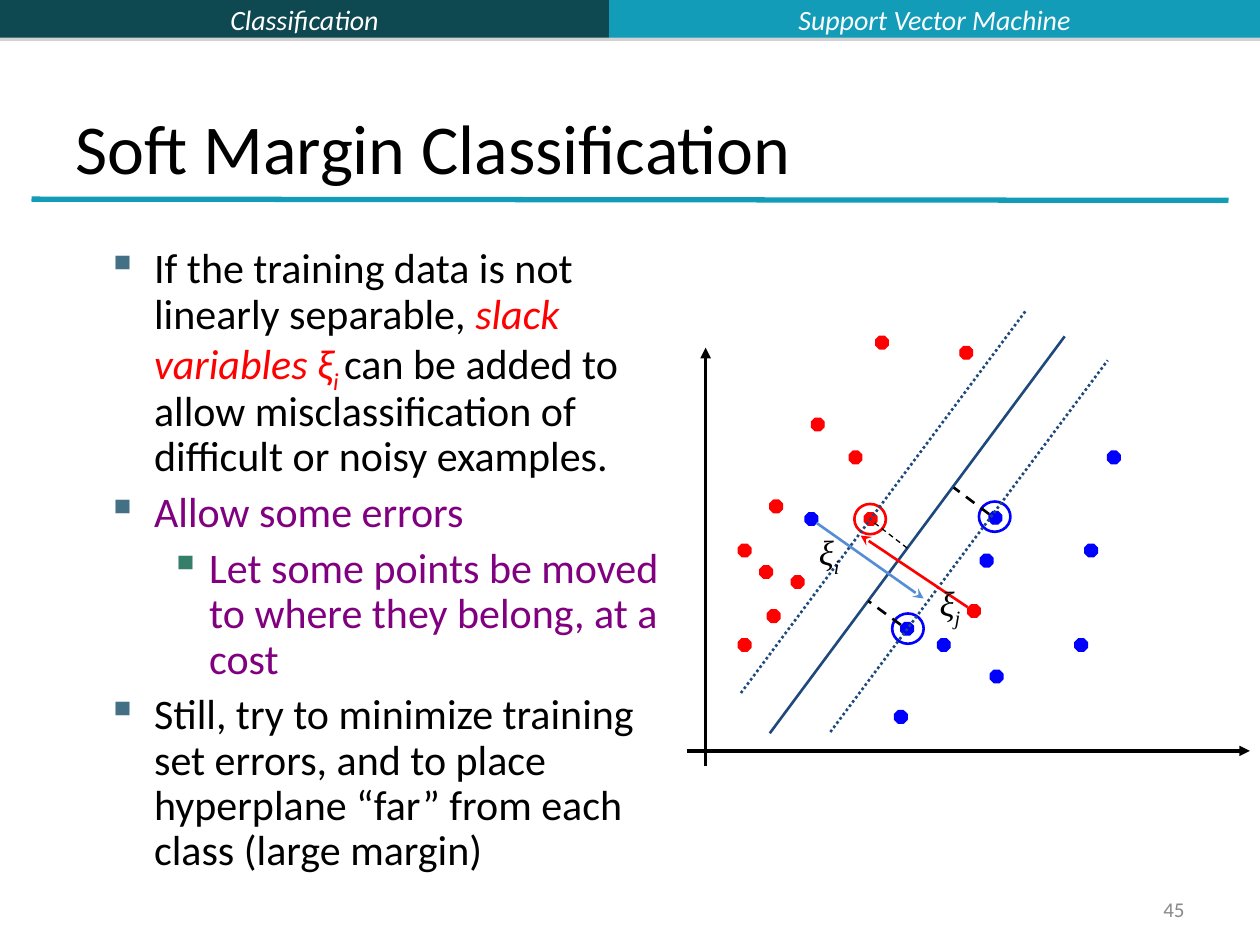
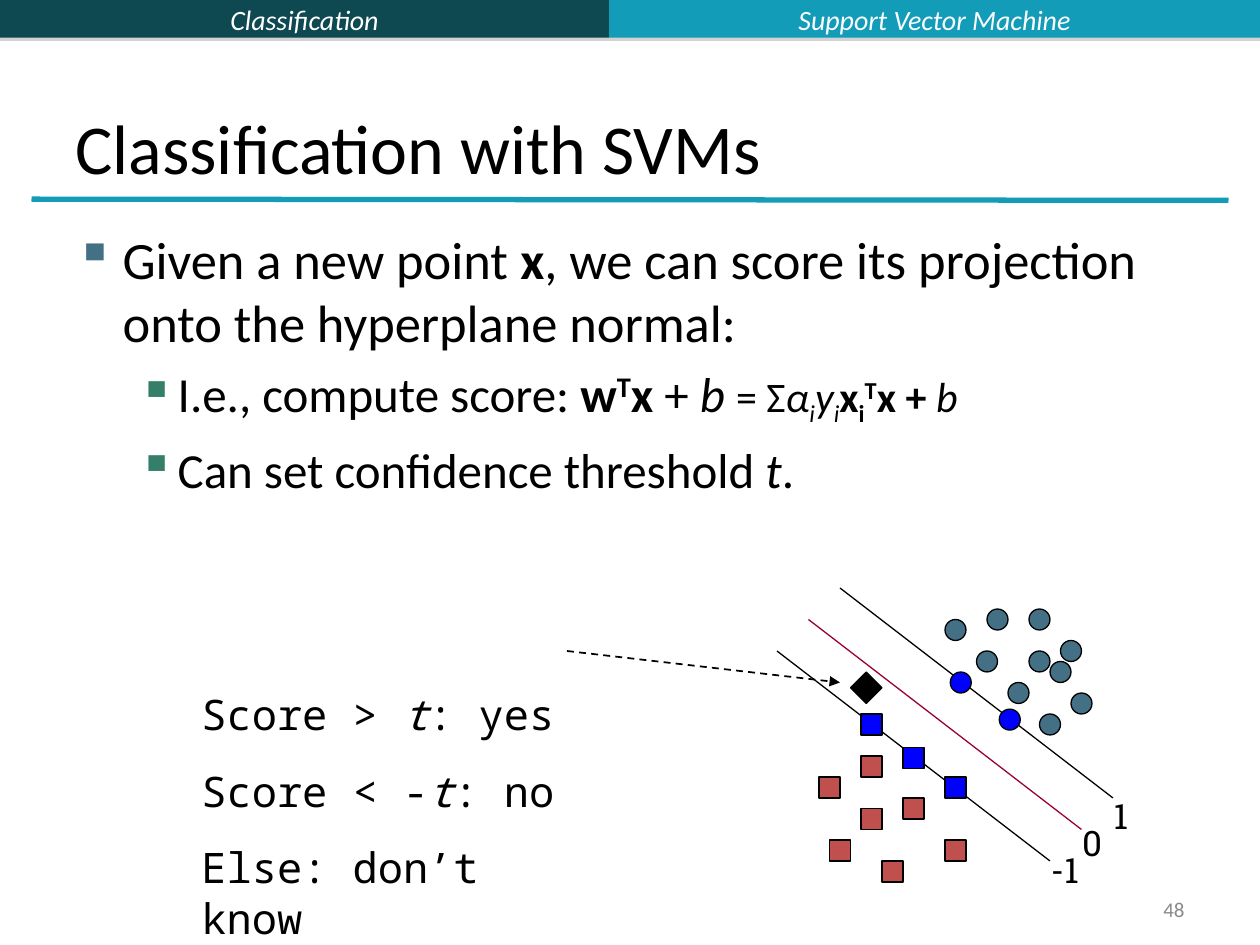
from lxml import etree
from pptx import Presentation
from pptx.dml.color import RGBColor
from pptx.enum import dml, shapes, text
from pptx.oxml import ns
from pptx.util import Pt

BLACK = RGBColor(0, 0, 0)
WHITE = RGBColor(0xFF, 0xFF, 0xFF)
OFF_WHITE = RGBColor(0xFB, 0xFC, 0xFF)
GREY = RGBColor(0x89, 0x89, 0x89)
DARK_TEAL = RGBColor(0x0E, 0x48, 0x51)
TEAL = RGBColor(0x13, 0x9C, 0xB7)
SLATE = RGBColor(0x43, 0x70, 0x85)
GREEN = RGBColor(0x35, 0x7E, 0x69)
RED = RGBColor(0xFF, 0, 0)
BLUE = RGBColor(0, 0, 0xFF)
PURPLE = RGBColor(0x80, 0, 0x80)
NAVY = RGBColor(0x1F, 0x49, 0x7D)
SKY = RGBColor(0x55, 0x8E, 0xD5)
BRICK = RGBColor(0xC0, 0x50, 0x4D)
CRIMSON = RGBColor(0x99, 0, 0x33)

KIND = shapes.MSO_SHAPE
DASH = dml.MSO_LINE.DASH
DOTS = dml.MSO_LINE.ROUND_DOT
ALIGN = text.PP_ALIGN
MIDDLE = text.MSO_ANCHOR.MIDDLE
BOTTOM = text.MSO_ANCHOR.BOTTOM

# Bullet levels: left margin, hanging indent, bullet colour
BULLETS = [(27, -27, SLATE), (58.5, -22.5, GREEN)]

# Run formats
ITALIC = dict(italic=True)
BOLD = dict(bold=True)
SUB = dict(italic=True, base=-25)


def sub(parent, tag, **attrs):
    return etree.SubElement(parent, ns.qn(tag), {k: str(v) for k, v in attrs.items()})


# Text
def write(tf, runs, font="Calibri", size=24, color=BLACK, italic=False, bold=False,
          align=ALIGN.LEFT, before=0, spacing=None, level=None):
    """Add one paragraph; each run is a string or a (string, format) pair."""
    p = tf.paragraphs[0]
    if p.runs:
        p = tf.add_paragraph()
        p.space_before = Pt(before)
    else:
        p.space_before = Pt(0)
    if level is not None:
        margin, indent, bullet_color = BULLETS[level]
        p.level = level
        pPr = p._p.get_or_add_pPr()
        pPr.set("marL", str(Pt(margin)))
        pPr.set("indent", str(Pt(indent)))
        sub(sub(pPr, "a:buClr"), "a:srgbClr", val=bullet_color)
        sub(pPr, "a:buChar", char="▪")
    p.alignment = align
    if spacing:
        p.line_spacing = spacing
    for run in [runs] if isinstance(runs, str) else runs:
        words, fmt = (run, {}) if isinstance(run, str) else run
        r = p.add_run()
        r.text = words
        r.font.name = font
        r.font.size = Pt(fmt.get("size", size))
        r.font.color.rgb = fmt.get("color", color)
        r.font.italic = fmt.get("italic", italic)
        r.font.bold = fmt.get("bold", bold)
        if "base" in fmt:
            r._r.get_or_add_rPr().set("baseline", str(fmt["base"] * 1000))


def text_box(s, x, y, w, h, wrap=True, anchor=text.MSO_ANCHOR.TOP):
    tf = s.shapes.add_textbox(Pt(x), Pt(y), Pt(w), Pt(h)).text_frame
    tf.word_wrap = wrap
    tf.vertical_anchor = anchor
    return tf


# Shapes and lines
def shape(s, kind, x, y, w, h, fill=None, line=None, width=0.75):
    sp = s.shapes.add_shape(kind, Pt(x), Pt(y), Pt(w), Pt(h))
    sp.shadow.inherit = False
    if fill is None:
        sp.fill.background()
    else:
        sp.fill.solid()
        sp.fill.fore_color.rgb = fill
    if line is None:
        sp.line.fill.background()
    else:
        sp.line.color.rgb = line
        sp.line.width = Pt(width)
    return sp


def markers(s, kind, size, fill, line, corners):
    for x, y in corners:
        shape(s, kind, x, y, size, size, fill, line)


def line(s, x1, y1, x2, y2, color=BLACK, width=1.5, dash=None, arrow=None):
    cx = s.shapes.add_connector(shapes.MSO_CONNECTOR.STRAIGHT, Pt(x1), Pt(y1), Pt(x2), Pt(y2))
    cx.line.color.rgb = color
    cx.line.width = Pt(width)
    if dash:
        cx.line.dash_style = dash
    if arrow:
        sub(cx.line._get_or_add_ln(), "a:tailEnd", type=arrow)
    sub(cx._element.spPr, "a:effectLst")


# Parts shared by both slides
def band(s, x, w, fill, label, color):
    sp = shape(s, KIND.RECTANGLE, x, 0, w, 21.6, fill)
    effects = sp._element.spPr.find(ns.qn("a:effectLst"))
    shadow = sub(effects, "a:outerShdw", dist=Pt(1.8), dir=5400000, rotWithShape=0)
    sub(sub(shadow, "a:srgbClr", val="808080"), "a:alpha", val=35000)
    tf = sp.text_frame
    tf.vertical_anchor = MIDDLE
    write(tf, label, size=16, color=color, italic=True, align=ALIGN.CENTER)


def new_slide(prs, title, number):
    s = prs.slides.add_slide(prs.slide_layouts[5])
    band(s, 0, 348, DARK_TEAL, "Classification", WHITE)
    band(s, 348, 372, TEAL, "Support Vector Machine", OFF_WHITE)
    line(s, 18, 113.8, 702, 114.5, TEAL, 3)
    sp = s.shapes.title
    sp.left, sp.top, sp.width, sp.height = Pt(36), Pt(21.6), Pt(648), Pt(90)
    tf = sp.text_frame
    tf.auto_size = text.MSO_AUTO_SIZE.NONE
    tf.vertical_anchor = BOTTOM
    write(tf, title, size=40)
    tf = text_box(s, 516, 510, 168, 19.4, anchor=MIDDLE)
    write(tf, str(number), size=12, color=GREY, align=ALIGN.RIGHT)
    return s


def soft_margin(prs):
    s = new_slide(prs, "Soft Margin Classification", 45)

    # Explanation
    tf = text_box(s, 54, 138, 330, 384)
    slack = dict(color=RED, italic=True)
    body = dict(before=6, spacing=0.9)
    write(tf, ["If the training data is not linearly separable, ",
               ("slack variables ξ", slack), ("i ", dict(slack, base=-25)),
               "can be added to allow misclassification of difficult or noisy examples."],
          level=0, **body)
    write(tf, "Allow some errors", level=0, color=PURPLE, **body)
    write(tf, "Let some points be moved to where they belong, at a cost",
          level=1, color=PURPLE, **body)
    write(tf, "Still, try to minimize training set errors, and to place "
              "hyperplane “far” from each class (large margin)", level=0, **body)

    # Axes
    line(s, 403.2, 437.8, 403.2, 198.7, width=2, arrow="triangle")
    line(s, 392.4, 429.1, 714.2, 429.1, width=2, arrow="triangle")

    # Training points of the two classes
    red_points = [(485.3, 257.8), (439.9, 285.8), (452.2, 329), (421.9, 365),
                  (463.7, 239), (421.9, 311), (434.2, 323.3), (493.9, 293),
                  (500.4, 192.2), (548.6, 198), (438.5, 348.5), (553, 345.6)]
    blue_points = [(565.2, 292.3), (535.7, 365), (614.2, 365), (511.2, 406.1),
                   (560.2, 316.8), (514.8, 355.7), (565.9, 383), (619.9, 311),
                   (632.9, 257.8), (460.1, 293)]
    for color, points in ((RED, red_points), (BLUE, blue_points)):
        markers(s, KIND.OCTAGON, 7.2, color, color, points)

    # Rings around the support vectors
    for x, y, color in ((488.2, 288, RED), (509.8, 350.6, BLUE), (559.4, 286.6, BLUE)):
        shape(s, KIND.OVAL, x, y, 18, 17.3, line=color, width=1.5)

    # Hyperplane, margins and distances to them
    line(s, 439.9, 419, 608.4, 192.2, NAVY)
    line(s, 474.5, 418.3, 633, 205.9, NAVY, dash=DOTS)
    line(s, 423.4, 396, 586, 177.8, NAVY, dash=DOTS)
    line(s, 565.2, 293.8, 545, 278.6, dash=DASH)
    line(s, 514.8, 357.1, 496.1, 343.4, dash=DASH)
    line(s, 518.4, 313.2, 499.7, 298.8, width=0.75, dash=DASH)

    # Slack of the misplaced points
    line(s, 553, 347, 491.8, 306, RED, arrow="stealth")
    line(s, 466.6, 298.8, 527.8, 342, SKY, arrow="stealth")
    for x, y, index in ((529.9, 329, "j"), (460.8, 299.5, "i")):
        tf = text_box(s, x, y, 55.4, 34.6)
        write(tf, ["ξ", (index, SUB)], font="Times New Roman", size=20, italic=True)


def svm_scores(prs):
    s = new_slide(prs, "Classification with SVMs", 48)

    # Scoring a point
    tf = text_box(s, 36, 126, 648, 390)
    write(tf, ["Given a new point ", ("x", BOLD),
               ", we can score its projection onto the hyperplane normal:"], size=30, level=0)
    small = dict(size=24)
    small_sub = dict(SUB, size=24)
    small_bold = dict(BOLD, size=24)
    small_italic = dict(ITALIC, size=24)
    write(tf, ["I.e., compute score: ", ("w", BOLD), ("T", dict(BOLD, base=30)),
               ("x", BOLD), " + ", ("b ", ITALIC), ("= Σ", small),
               ("α", small_italic), ("i", small_sub), ("y", small_italic), ("i", small_sub),
               ("x", small_bold), ("i", dict(small_bold, base=-25)),
               ("T", dict(small_bold, base=30)), ("x + ", small_bold), ("b", small_italic)],
          size=28, before=6, level=1)
    write(tf, ["Can set confidence threshold ", ("t", ITALIC), "."],
          size=28, before=7, level=1)

    # Points of the two classes
    markers(s, KIND.OVAL, 12, SLATE, BLACK,
            [(564, 348), (588, 372), (576, 390), (612, 396), (594, 408),
             (588, 348), (540, 354), (600, 378), (606, 366), (558, 372)])
    markers(s, KIND.RECTANGLE, 12, BRICK, BLACK,
            [(492, 432), (504, 492), (516, 456), (540, 480), (468, 444),
             (492, 462), (474, 480)])

    # Parallel score lines with their values
    for score in (0, 1, -1):
        shift = 18 * score
        line(s, 462 + shift, 354 - shift, 618 + shift, 474 - shift,
             BLACK if score else CRIMSON, 0.75)
        tf = text_box(s, 611.3 + shift, 466 - 15.5 * score, 32 if score < 0 else 25, 31.7,
                      wrap=False)
        write(tf, str(score), font="Roboto Slab", size=20)

    # Support vectors and the new point
    markers(s, KIND.OVAL, 12, BLUE, BLACK, [(543, 384), (571, 405.2)])
    markers(s, KIND.RECTANGLE, 12, BLUE, BLACK, [(516, 427), (540, 444), (492, 408)])
    markers(s, KIND.DIAMOND, 18, BLACK, BLACK, [(486, 384)])
    line(s, 324, 372, 480, 390, width=1, dash=DASH, arrow="triangle")

    # Decision rule
    tf = text_box(s, 108, 390, 228, 124)
    for rule in (["Score > ", ("t", ITALIC), ": yes"],
                 ["Score < -", ("t", ITALIC), ": no"],
                 "Else: don’t know"):
        write(tf, rule, font="Noto Sans Mono", before=15)


def main():
    prs = Presentation()
    prs.slide_width, prs.slide_height = Pt(720), Pt(540)
    soft_margin(prs)
    svm_scores(prs)
    prs.save("out.pptx")


if __name__ == "__main__":
    main()
